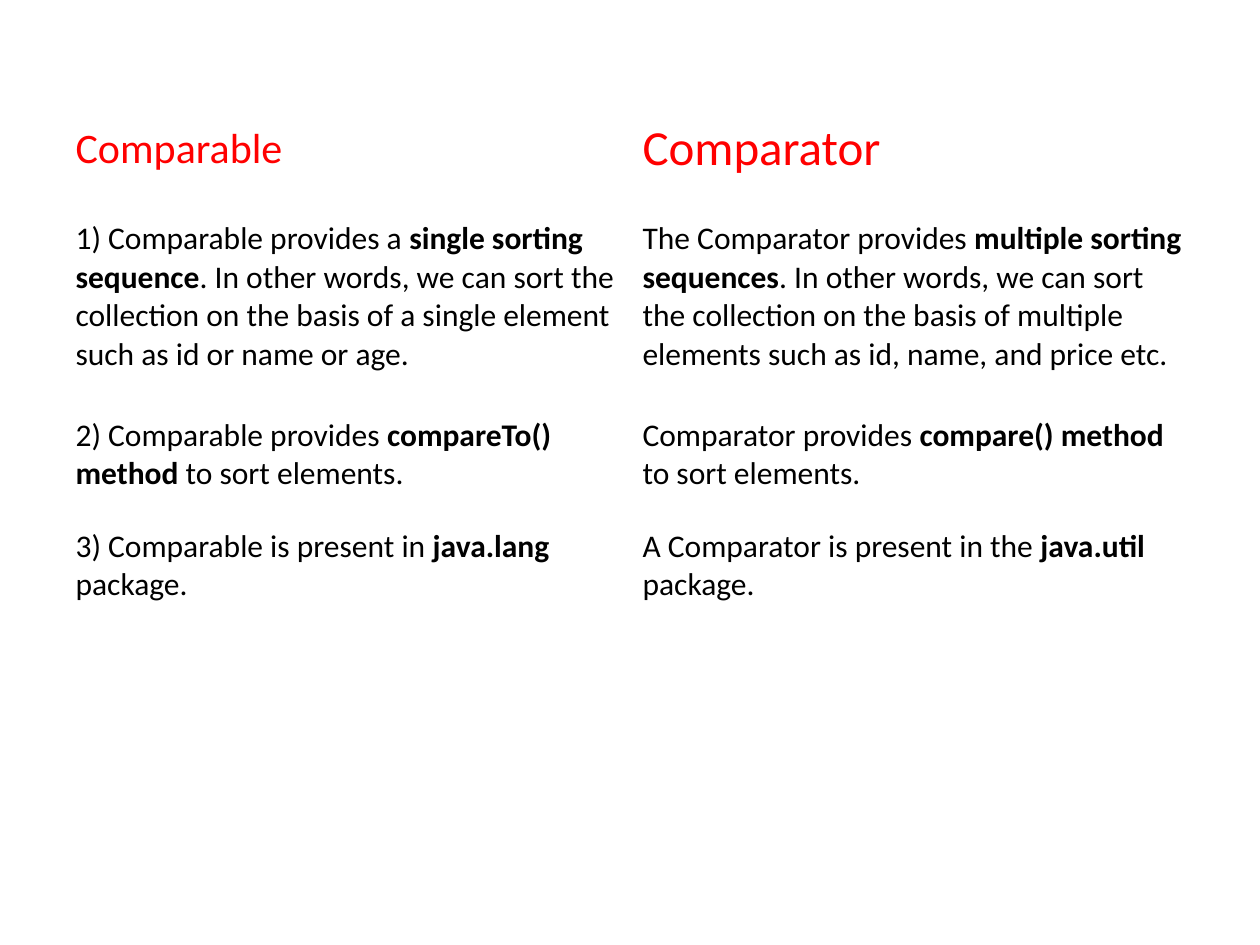
from dataclasses import dataclass

from pptx import Presentation
from pptx.dml.color import RGBColor
from pptx.enum.text import MSO_ANCHOR
from pptx.util import Inches, Pt


@dataclass(frozen=True)
class Theme:
    font: str = "Calibri"
    heading_color: RGBColor = RGBColor(0xFF, 0x00, 0x00)
    body_color: RGBColor = RGBColor(0x00, 0x00, 0x00)
    heading_sizes: tuple = (24, 28)
    body_size: int = 18


THEME = Theme()

HEADINGS = ("Comparable", "Comparator")

# Each cell: text before, bold text, text after
COMPARISONS = [
    (
        ("1) Comparable provides a ", "single sorting sequence",
         ". In other words, we can sort the collection on the basis of "
         "a single element such as id or name or age."),
        ("The Comparator provides ", "multiple sorting sequences",
         ". In other words, we can sort the collection on the basis of "
         "multiple elements such as id, name, and price etc."),
    ),
    (
        ("2) Comparable provides ", "compareTo() method", " to sort elements."),
        ("Comparator provides ", "compare() method", " to sort elements."),
    ),
    (
        ("3) Comparable is present in ", "java.lang", " package."),
        ("A Comparator is present in the ", "java.util", " package."),
    ),
]

TABLE_LEFT, TABLE_TOP, TABLE_WIDTH = 0.5, 0.83, 9
ROW_HEIGHTS = (0.71, 1.63, 0.88, 0.88)


def fill_cell(cell, parts, size, color):
    """Write the parts as runs; every second part is bold."""
    cell.fill.background()
    cell.vertical_anchor = MSO_ANCHOR.MIDDLE
    paragraph = cell.text_frame.paragraphs[0]
    paragraph.font.name = THEME.font
    paragraph.font.size = Pt(size)
    paragraph.font.color.rgb = color
    for index, text in enumerate(parts):
        run = paragraph.add_run()
        run.text = text
        run.font.bold = index % 2 == 1


def add_comparison_table(slide):
    table = slide.shapes.add_table(
        len(ROW_HEIGHTS), len(HEADINGS),
        Inches(TABLE_LEFT), Inches(TABLE_TOP),
        Inches(TABLE_WIDTH), Inches(sum(ROW_HEIGHTS)),
    ).table
    table.first_row = False
    table.horz_banding = False
    for row, height in zip(table.rows, ROW_HEIGHTS):
        row.height = Inches(height)

    for column, heading in enumerate(HEADINGS):
        fill_cell(table.cell(0, column), (heading,),
                  THEME.heading_sizes[column], THEME.heading_color)
    for row, comparison in enumerate(COMPARISONS, start=1):
        for column, parts in enumerate(comparison):
            fill_cell(table.cell(row, column), parts,
                      THEME.body_size, THEME.body_color)


def main():
    presentation = Presentation()
    presentation.slide_width = Inches(10)
    presentation.slide_height = Inches(7.5)
    slide = presentation.slides.add_slide(presentation.slide_layouts[6])
    add_comparison_table(slide)
    presentation.save("out.pptx")


if __name__ == "__main__":
    main()
